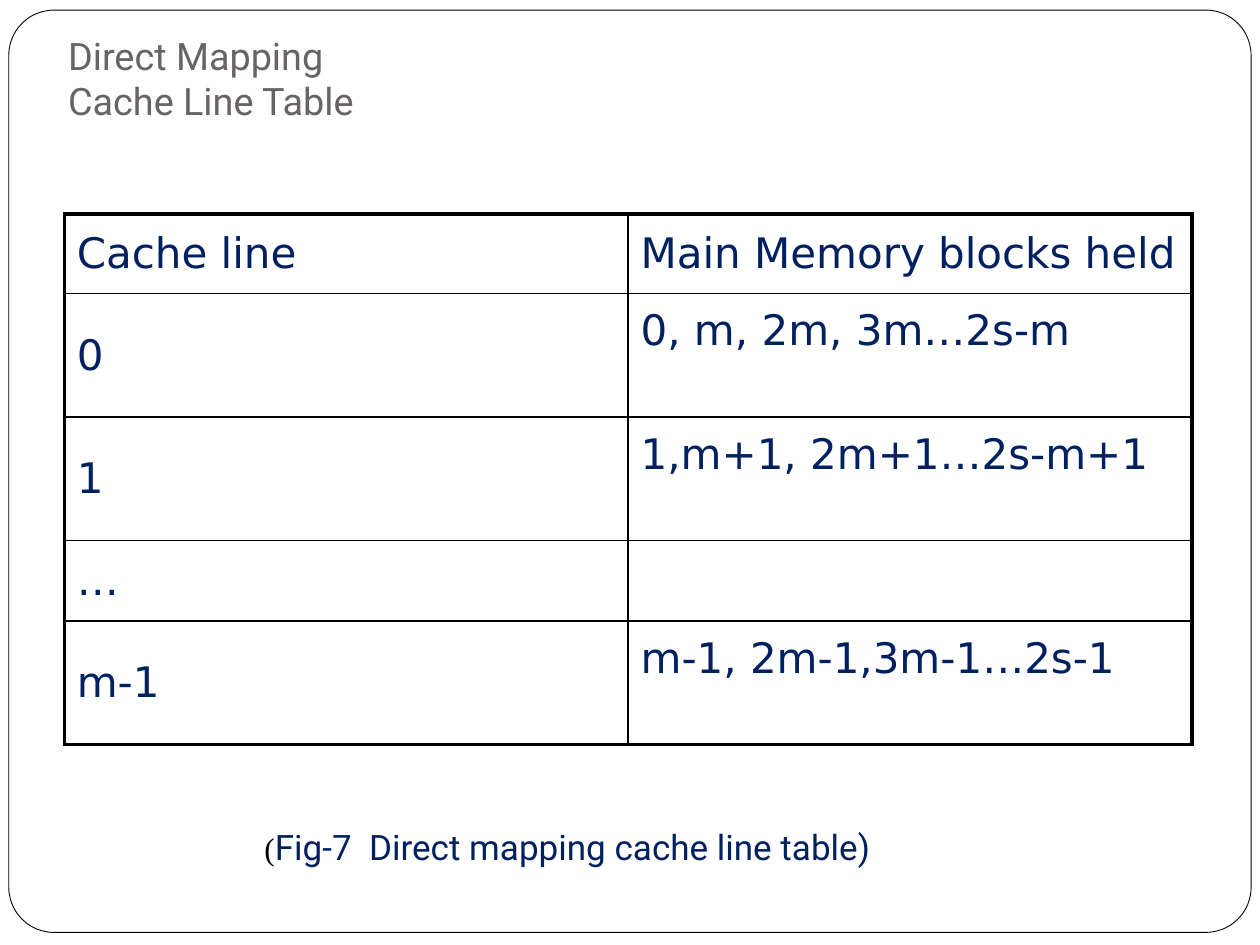
from lxml.etree import SubElement
from pptx import Presentation
from pptx.dml.color import RGBColor
from pptx.enum.shapes import MSO_SHAPE as SHAPE
from pptx.enum.text import MSO_ANCHOR as ANCHOR, MSO_AUTO_SIZE as AUTO, PP_ALIGN as ALIGN
from pptx.oxml.ns import qn
from pptx.util import Inches, Pt

COLORS = {"ink": "000000", "paper": "FFFFFF", "title": "696464", "navy": "002060"}
ROWS = [
    ("Cache line", "Main Memory blocks held"),
    ("0", "0, m, 2m, 3m…2s-m"),
    ("1", "1,m+1, 2m+1…2s-m+1"),
    ("…", ""),
    ("m-1", "m-1, 2m-1,3m-1…2s-1"),
]
ROW_HEIGHTS = [0.63, 0.98, 0.98, 0.64, 0.98]
OUTER, INNER = 2.25, 1


def color(name):
    return RGBColor.from_string(COLORS[name])


def style(font, name, size, fill):
    font.name = name
    font.size = Pt(size)
    font.color.rgb = color(fill)


def place(shape, left, top, width, height):
    shape.left, shape.top = Inches(left), Inches(top)
    shape.width, shape.height = Inches(width), Inches(height)


def add_frame(s):
    sp = s.shapes.add_shape(SHAPE.ROUNDED_RECTANGLE, Inches(0.07), Inches(0.08),
                            Inches(9.86), Inches(7.32))
    sp.adjustments[0] = 0.049
    sp.shadow.inherit = False
    sp.fill.solid()
    sp.fill.fore_color.rgb = color("paper")
    sp.line.color.rgb = color("ink")
    sp.line.width = Pt(0.5)
    s.shapes.element.insert(2, sp.element)


def set_title(s):
    sp = s.shapes.title
    place(sp, 0.44, 0.16, 8.97, 0.92)
    tf = sp.text_frame
    tf.text = "Direct Mapping\vCache Line Table"
    tf.auto_size = AUTO.NONE
    tf.vertical_anchor = ANCHOR.BOTTOM
    tf.margin_bottom = Inches(0.1)
    p = tf.paragraphs[0]
    p.alignment = ALIGN.LEFT
    for r in p.runs:
        style(r.font, "Roboto", 21.6, "title")


def set_borders(cell, widths):
    tc_pr = cell._tc.get_or_add_tcPr()
    for side, width in widths.items():
        ln = SubElement(tc_pr, qn(f"a:ln{side}"), w=str(Pt(width)))
        fill = SubElement(ln, qn("a:solidFill"))
        SubElement(fill, qn("a:srgbClr"), val=COLORS["ink"])


def fill_cell(cell, text, raised):
    cell.fill.background()
    cell.vertical_anchor = ANCHOR.TOP if raised else ANCHOR.MIDDLE
    if raised:
        cell.margin_top = Inches(0.1)
    p = cell.text_frame.paragraphs[0]
    p.text = text
    p.line_spacing = 1.01
    style(p.font, "DejaVu Sans", 24, "navy")
    for r in p.runs:
        style(r.font, "DejaVu Sans", 24, "navy")


def add_cache_table(s):
    table = s.shapes.add_table(len(ROWS), 2, Inches(0.51), Inches(1.7),
                               Inches(8.95), Inches(4.21)).table
    table.first_row = table.horz_banding = False
    for col in table.columns:
        col.width = Inches(4.475)
    last = len(ROWS) - 1
    for i, (row, height) in enumerate(zip(ROWS, ROW_HEIGHTS)):
        table.rows[i].height = Inches(height)
        for j, text in enumerate(row):
            cell = table.cell(i, j)
            set_borders(cell, {
                "L": OUTER if j == 0 else INNER,
                "R": OUTER if j == 1 else INNER,
                "T": OUTER if i == 0 else INNER,
                "B": OUTER if i == last else INNER,
            })
            fill_cell(cell, text, raised=i > 0 and j == 1)


def add_caption(s):
    tf = s.shapes.add_textbox(Inches(2), Inches(6.5), Inches(6.33), Inches(0.44)).text_frame
    tf.word_wrap = True
    tf.auto_size = AUTO.SHAPE_TO_FIT_TEXT
    p = tf.paragraphs[0]
    for text, name, size, fill in [
        ("(", "Times New Roman", 18, "ink"),
        ("Fig-7  Direct mapping cache line table)", "Roboto", 20, "navy"),
    ]:
        r = p.add_run()
        r.text = text
        style(r.font, name, size, fill)


def main():
    prs = Presentation()
    prs.slide_width, prs.slide_height = Inches(10), Inches(7.5)
    s = prs.slides.add_slide(prs.slide_layouts[5])
    add_frame(s)
    set_title(s)
    add_cache_table(s)
    add_caption(s)
    prs.save("out.pptx")


if __name__ == "__main__":
    main()
